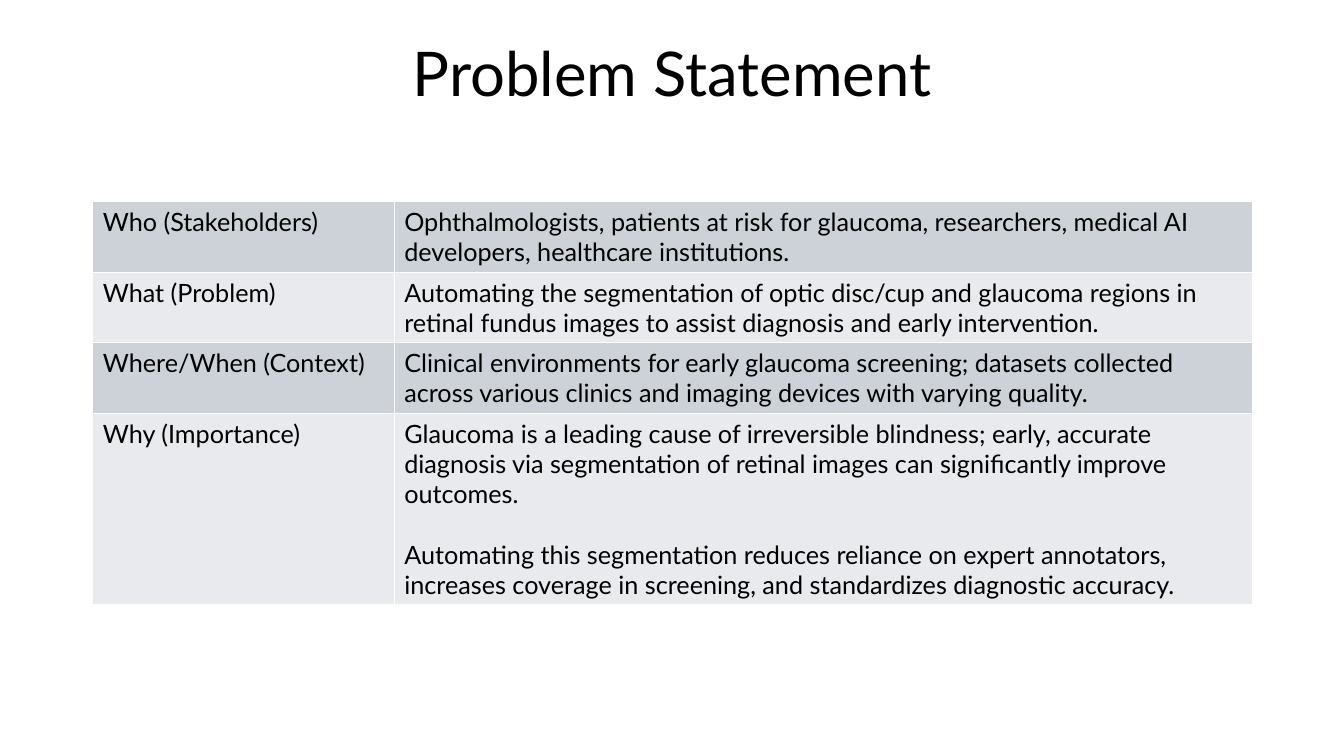
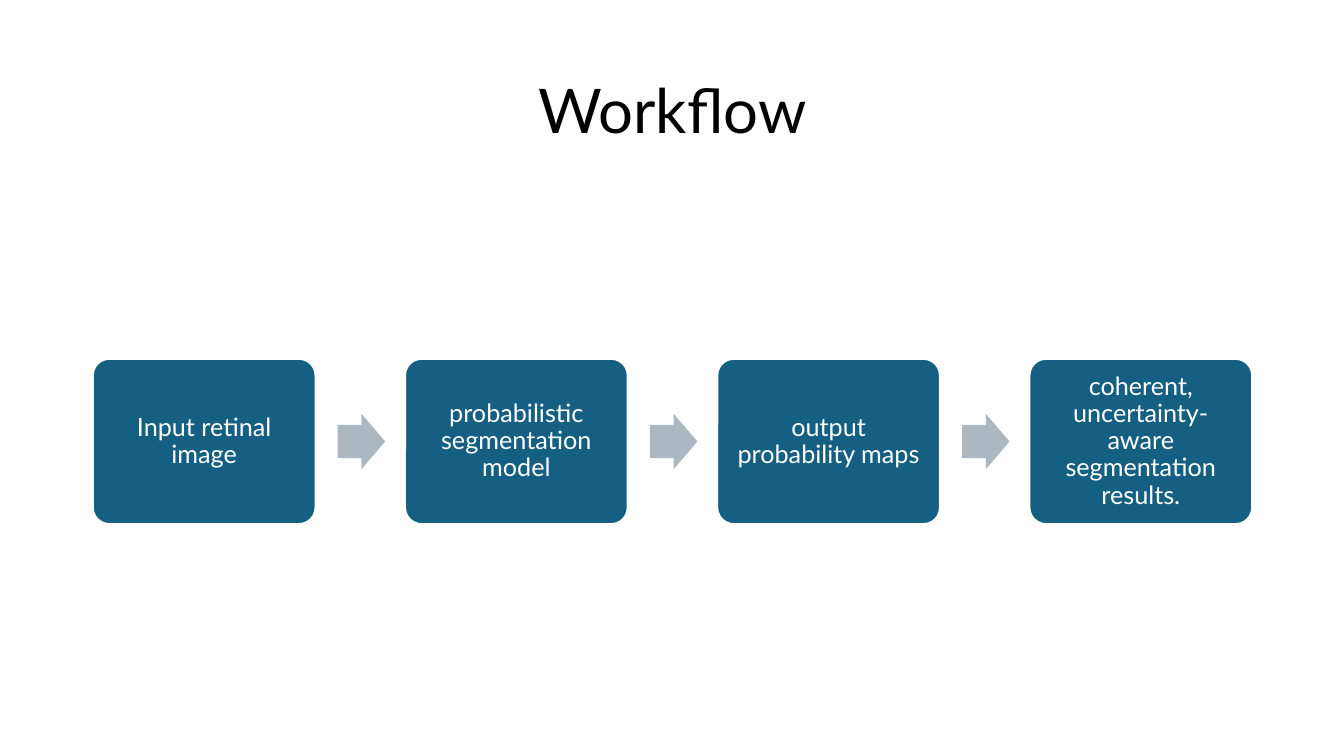
"""Build the problem statement and workflow slides."""

from lxml.etree import SubElement
from pptx import Presentation
from pptx.dml.color import RGBColor
from pptx.enum.shapes import MSO_SHAPE
from pptx.enum.text import MSO_ANCHOR, PP_ALIGN
from pptx.oxml.ns import qn
from pptx.util import Inches, Pt

FONT = "Lato"
BLACK = RGBColor(0x00, 0x00, 0x00)
WHITE = RGBColor(0xFF, 0xFF, 0xFF)
BLUE = RGBColor(0x15, 0x60, 0x82)
ARROW_GRAY = RGBColor(0xAC, 0xB7, 0xC1)
ROW_FILLS = (RGBColor(0xCC, 0xD2, 0xD8), RGBColor(0xE8, 0xEA, 0xED))

LEFT = 0.92
CONTENT_WIDTH = 11.5
BODY_SIZE = 18
BLANK_LINE = Pt(21.6)

COLUMN_WIDTHS = (2.99, 8.51)
ROW_HEIGHTS = (0.7, 0.7, 0.7, 1.9)
PROBLEM_ROWS = (
    ("Who (Stakeholders)", (
        "Ophthalmologists, patients at risk for glaucoma, researchers, "
        "medical AI developers, healthcare institutions.",)),
    ("What (Problem)", (
        "Automating the segmentation of optic disc/cup and glaucoma regions in "
        "retinal fundus images to assist diagnosis and early intervention.",)),
    ("Where/When (Context)", (
        "Clinical environments for early glaucoma screening; datasets collected "
        "across various clinics and imaging devices with varying quality.",)),
    ("Why (Importance)", (
        "Glaucoma is a leading cause of irreversible blindness; early, accurate "
        "diagnosis via segmentation of retinal images can significantly improve outcomes.",
        "Automating this segmentation reduces reliance on expert annotators, "
        "increases coverage in screening, and standardizes diagnostic accuracy.")),
)

STEPS = (
    "Input retinal image",
    "probabilistic segmentation model",
    "output probability maps",
    "coherent, uncertainty-aware segmentation results.",
)
STEP_TOP, STEP_WIDTH, STEP_HEIGHT = 3.56, 2.21, 1.64
STEP_INSET = 0.12
ARROW_OFFSET, ARROW_WIDTH, ARROW_HEIGHT = 0.22, 0.47, 0.55


def add_run(paragraph, text, size, color):
    run = paragraph.add_run()
    run.text = text
    run.font.name = FONT
    run.font.size = Pt(size)
    run.font.color.rgb = color


def write_centered(text_frame, text, size, color):
    text_frame.word_wrap = True
    text_frame.vertical_anchor = MSO_ANCHOR.MIDDLE
    paragraph = text_frame.paragraphs[0]
    paragraph.alignment = PP_ALIGN.CENTER
    paragraph.line_spacing = 0.9
    add_run(paragraph, text, size, color)


def add_titled_slide(presentation, title, title_top):
    slide = presentation.slides.add_slide(presentation.slide_layouts[6])
    box = slide.shapes.add_textbox(
        Inches(LEFT), Inches(title_top), Inches(CONTENT_WIDTH), Inches(1.45))
    write_centered(box.text_frame, title, 44, BLACK)
    return slide


def set_borders(cell, color, width):
    properties = cell._tc.get_or_add_tcPr()
    for side in ("lnL", "lnR", "lnT", "lnB"):
        line = SubElement(properties, qn(f"a:{side}"), w=str(Pt(width)))
        fill = SubElement(line, qn("a:solidFill"))
        SubElement(fill, qn("a:srgbClr"), val=str(color))


def fill_cell(cell, texts, color):
    set_borders(cell, WHITE, 1)
    cell.fill.solid()
    cell.fill.fore_color.rgb = color
    for index, text in enumerate(texts):
        if index == 0:
            paragraph = cell.text_frame.paragraphs[0]
        else:
            paragraph = cell.text_frame.add_paragraph()
            paragraph.space_before = BLANK_LINE
        add_run(paragraph, text, BODY_SIZE, BLACK)


def add_problem_table(slide):
    table = slide.shapes.add_table(
        len(PROBLEM_ROWS), len(COLUMN_WIDTHS), Inches(LEFT), Inches(2),
        Inches(CONTENT_WIDTH), Inches(sum(ROW_HEIGHTS))).table
    table.first_row = False
    for column, width in zip(table.columns, COLUMN_WIDTHS):
        column.width = Inches(width)
    for index, (label, texts) in enumerate(PROBLEM_ROWS):
        table.rows[index].height = Inches(ROW_HEIGHTS[index])
        color = ROW_FILLS[index % len(ROW_FILLS)]
        fill_cell(table.cell(index, 0), (label,), color)
        fill_cell(table.cell(index, 1), texts, color)


def add_filled_shape(slide, kind, left, top, width, height, color):
    shape = slide.shapes.add_shape(
        kind, Inches(left), Inches(top), Inches(width), Inches(height))
    shape.shadow.inherit = False
    shape.fill.solid()
    shape.fill.fore_color.rgb = color
    shape.line.fill.background()
    return shape


def add_step(slide, left, text):
    shape = add_filled_shape(
        slide, MSO_SHAPE.ROUNDED_RECTANGLE, left, STEP_TOP, STEP_WIDTH, STEP_HEIGHT, BLUE)
    shape.adjustments[0] = 0.1
    shape.line.color.rgb = WHITE
    shape.line.width = Pt(1.5)
    frame = shape.text_frame
    frame.margin_left = frame.margin_right = Inches(STEP_INSET)
    frame.margin_top = frame.margin_bottom = Inches(STEP_INSET)
    write_centered(frame, text, BODY_SIZE, WHITE)


def add_step_arrow(slide, left):
    top = STEP_TOP + (STEP_HEIGHT - ARROW_HEIGHT) / 2
    arrow = add_filled_shape(
        slide, MSO_SHAPE.RIGHT_ARROW, left, top, ARROW_WIDTH, ARROW_HEIGHT, ARROW_GRAY)
    arrow.adjustments[0] = 0.6
    arrow.adjustments[1] = 0.5


def add_workflow(slide):
    pitch = (CONTENT_WIDTH - STEP_WIDTH) / (len(STEPS) - 1)
    for index, text in enumerate(STEPS):
        left = LEFT + index * pitch
        add_step(slide, left, text)
        if index < len(STEPS) - 1:
            add_step_arrow(slide, left + STEP_WIDTH + ARROW_OFFSET)


def main():
    presentation = Presentation()
    presentation.slide_width = Inches(13.33)
    presentation.slide_height = Inches(7.5)
    add_problem_table(add_titled_slide(presentation, "Problem Statement", 0.03))
    add_workflow(add_titled_slide(presentation, "Workflow", 0.4))
    presentation.save("out.pptx")


if __name__ == "__main__":
    main()
